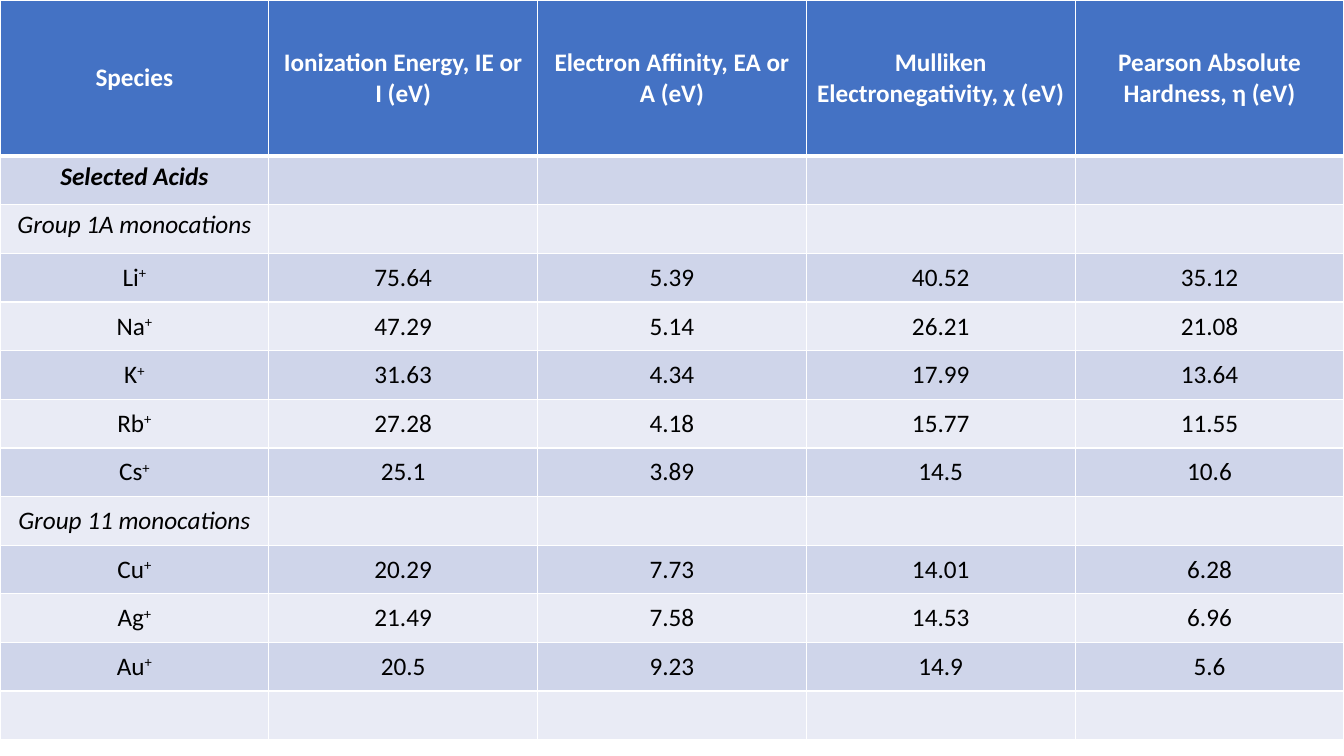
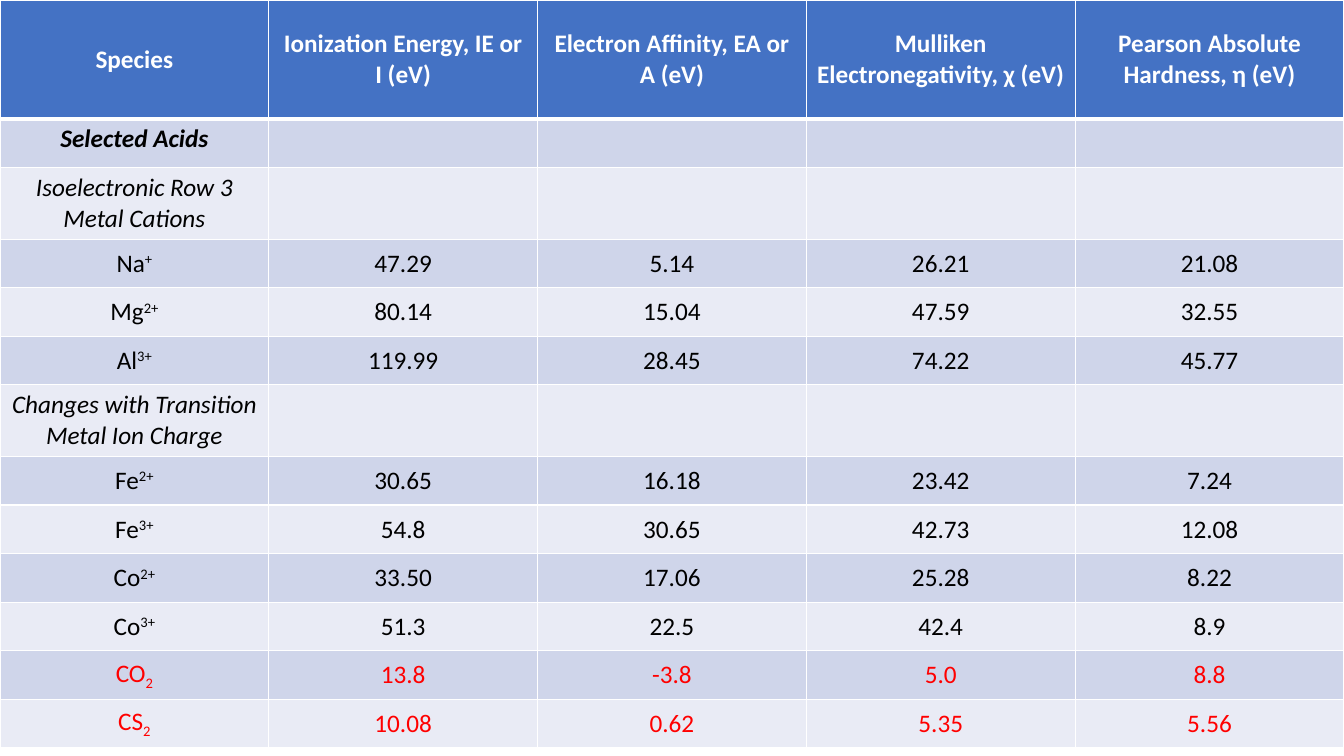
import pptx
import pptx.util
import pptx.dml.color
import pptx.enum.text
from lxml import etree
from pptx.util import Inches, Pt

WHITE = pptx.dml.color.RGBColor(0xFF, 0xFF, 0xFF)
BLACK = pptx.dml.color.RGBColor(0x00, 0x00, 0x00)
RED = pptx.dml.color.RGBColor(0xFF, 0x00, 0x00)
HEADER_BLUE = pptx.dml.color.RGBColor(0x44, 0x72, 0xC4)
BANDS = [
    pptx.dml.color.RGBColor(0xCF, 0xD5, 0xEA),
    pptx.dml.color.RGBColor(0xE9, 0xEB, 0xF5),
]
FONT = "Calibri"
TEXT_SIZE = Pt(18)
GRID_WIDTH = Pt(1)
HEADER_RULE_WIDTH = Pt(3)
TALL_ROW = Inches(0.71)
SUPERSCRIPT = "30000"
SUBSCRIPT = "-25000"

HEADINGS = (
    "Species",
    "Ionization Energy, IE or I (eV)",
    "Electron Affinity, EA or A (eV)",
    "Mulliken Electronegativity, χ (eV)",
    "Pearson Absolute Hardness, η (eV)",
)
SECTION = "Selected Acids"
MOLECULES = ("CO_2", "CS_2")

monocations = [
    ("Group 1A monocations",),
    ("Li^+", "75.64", "5.39", "40.52", "35.12"),
    ("Na^+", "47.29", "5.14", "26.21", "21.08"),
    ("K^+", "31.63", "4.34", "17.99", "13.64"),
    ("Rb^+", "27.28", "4.18", "15.77", "11.55"),
    ("Cs^+", "25.1", "3.89", "14.5", "10.6"),
    ("Group 11 monocations",),
    ("Cu^+", "20.29", "7.73", "14.01", "6.28"),
    ("Ag^+", "21.49", "7.58", "14.53", "6.96"),
    ("Au^+", "20.5", "9.23", "14.9", "5.6"),
    ("",),
]
charge_series = [
    ("Isoelectronic Row 3 Metal Cations",),
    ("Na^+", "47.29", "5.14", "26.21", "21.08"),
    ("Mg^2+", "80.14", "15.04", "47.59", "32.55"),
    ("Al^3+", "119.99", "28.45", "74.22", "45.77"),
    ("Changes with Transition Metal Ion Charge",),
    ("Fe^2+", "30.65", "16.18", "23.42", "7.24"),
    ("Fe^3+", "54.8", "30.65", "42.73", "12.08"),
    ("Co^2+", "33.50", "17.06", "25.28", "8.22"),
    ("Co^3+", "51.3", "22.5", "42.4", "8.9"),
    ("CO_2", "13.8", "-3.8", "5.0", "8.8"),
    ("CS_2", "10.08", "0.62", "5.35", "5.56"),
]


def set_borders(cell, top_width, bottom_width):
    properties = cell._tc.get_or_add_tcPr()
    widths = {"lnL": GRID_WIDTH, "lnR": GRID_WIDTH, "lnT": top_width, "lnB": bottom_width}
    for side, width in widths.items():
        line = etree.SubElement(properties, pptx.oxml.ns.qn("a:" + side), w=str(width))
        fill = etree.SubElement(line, pptx.oxml.ns.qn("a:solidFill"))
        etree.SubElement(fill, pptx.oxml.ns.qn("a:srgbClr"), val=str(WHITE))


def write_formula(paragraph, text):
    mark = "^" if "^" in text else "_"
    symbol, _, index = text.partition(mark)
    paragraph.text = symbol
    if index:
        index_run = paragraph.add_run()
        index_run.text = index
        shift = SUPERSCRIPT if mark == "^" else SUBSCRIPT
        index_run.font._element.set("baseline", shift)


presentation = pptx.Presentation()
presentation.slide_width = Inches(13.33)
presentation.slide_height = Inches(7.5)
blank_layout = presentation.slide_layouts[6]

for species_rows, header_height, table_height in (
    (monocations, Inches(1.55), Inches(7.34)),
    (charge_series, Inches(1.18), Inches(7.42)),
):
    slide = presentation.slides.add_slide(blank_layout)
    rows = [HEADINGS, (SECTION,)] + species_rows
    hardness_table = slide.shapes.add_table(
        len(rows), len(HEADINGS), 0, 0, presentation.slide_width, table_height
    ).table

    tall_rows = [i for i, row in enumerate(rows) if len(row[0]) > 25]
    body_count = len(rows) - 1 - len(tall_rows)
    body_height = (table_height - header_height - TALL_ROW * len(tall_rows)) // body_count

    for row_index, values in enumerate(rows):
        is_header = row_index == 0
        is_section = row_index == 1
        is_group = len(values) == 1
        if is_header:
            height, color = header_height, WHITE
        else:
            height = TALL_ROW if row_index in tall_rows else body_height
            color = RED if values[0] in MOLECULES else BLACK
        hardness_table.rows[row_index].height = height

        for column, cell in enumerate(hardness_table.rows[row_index].cells):
            set_borders(
                cell,
                HEADER_RULE_WIDTH if is_section else GRID_WIDTH,
                HEADER_RULE_WIDTH if is_header else GRID_WIDTH,
            )
            cell.fill.solid()
            cell.fill.fore_color.rgb = HEADER_BLUE if is_header else BANDS[(row_index - 1) % 2]
            if row_index not in (1, 2):
                cell.vertical_anchor = pptx.enum.text.MSO_ANCHOR.MIDDLE
            if column >= len(values) or not values[column]:
                continue
            paragraph = cell.text_frame.paragraphs[0]
            paragraph.alignment = pptx.enum.text.PP_ALIGN.CENTER
            write_formula(paragraph, values[column])
            for run in paragraph.runs:
                run.font.name = FONT
                run.font.size = TEXT_SIZE
                run.font.bold = is_header or is_section
                run.font.italic = is_group
                run.font.color.rgb = color

presentation.save("out.pptx")
